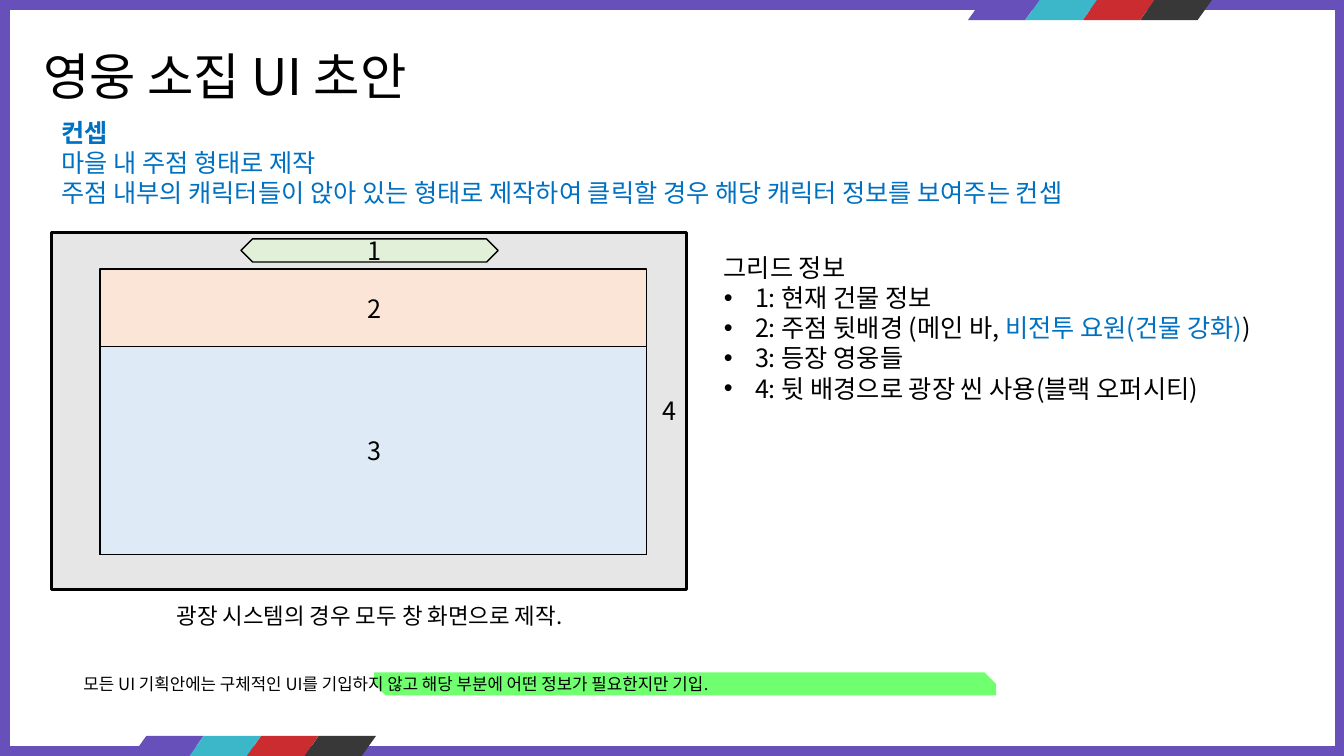
from dataclasses import dataclass

from lxml import etree
from pptx import Presentation
from pptx.dml.color import RGBColor
from pptx.enum.shapes import MSO_SHAPE
from pptx.enum.text import MSO_AUTO_SIZE, PP_ALIGN
from pptx.oxml.ns import qn
from pptx.util import Inches, Pt

RECT = MSO_SHAPE.RECTANGLE
SLANT = MSO_SHAPE.FLOWCHART_DATA
SNIPPED = MSO_SHAPE.SNIP_2_DIAG_RECTANGLE
LEFT, CENTER = PP_ALIGN.LEFT, PP_ALIGN.CENTER
GROW = MSO_AUTO_SIZE.SHAPE_TO_FIT_TEXT


@dataclass(frozen=True)
class Theme:
    font: str = "Noto Sans CJK KR"
    title: int = 36
    body: int = 18
    caption: int = 16
    note: int = 12
    ink: str = "000000"
    accent: str = "0070C0"
    frame: str = "6750BA"
    paper: str = "FFFFFF"
    stripes: tuple = ("6750BA", "3BB7C9", "CB2C30", "383838")
    window: str = "E7E6E6"
    backdrop: str = "FBE5D6"
    heroes: str = "DEEBF7"
    building: str = "E2F0D9"
    marker: str = "33FF33"


theme = Theme()


def add_block(kind, left, top, width, height, fill, line=None, snips=()):
    block = slide.shapes.add_shape(
        kind, Inches(left), Inches(top), Inches(width), Inches(height))
    block.shadow.inherit = False
    block.fill.solid()
    block.fill.fore_color.rgb = RGBColor.from_string(fill)
    if line:
        block.line.color.rgb = RGBColor.from_string(theme.ink)
        block.line.width = Pt(line)
    else:
        block.line.fill.background()
    for i, snip in enumerate(snips):
        block.adjustments[i] = snip
    return block


def add_text(paragraphs, left, top, width, height, size=theme.body,
             color=theme.ink, align=LEFT, bold_first=False, bullets=False):
    """Each paragraph is a string or a list of (text, color) runs.

    With bullets, the first paragraph stays a plain heading.
    """
    frame = slide.shapes.add_textbox(
        Inches(left), Inches(top), Inches(width), Inches(height)).text_frame
    frame.word_wrap = True
    frame.auto_size = GROW
    for i, content in enumerate(paragraphs):
        paragraph = frame.paragraphs[0] if i == 0 else frame.add_paragraph()
        paragraph.alignment = align
        if bullets and i > 0:
            props = paragraph._p.get_or_add_pPr()
            props.set("marL", str(Inches(0.31)))
            props.set("indent", str(-Inches(0.31)))
            etree.SubElement(props, qn("a:buFont")).set("typeface", "Arial")
            etree.SubElement(props, qn("a:buChar")).set("char", "•")
        runs = [(content, color)] if isinstance(content, str) else content
        for words, run_color in runs:
            run = paragraph.add_run()
            run.text = words
            run.font.name = theme.font
            run.font.size = Pt(size)
            run.font.bold = bold_first and i == 0
            run.font.color.rgb = RGBColor.from_string(run_color)
            east_asian = etree.SubElement(run.font._element, qn("a:ea"))
            east_asian.set("typeface", theme.font)


deck = Presentation()
deck.slide_width, deck.slide_height = Inches(13.33), Inches(7.5)
slide = deck.slides.add_slide(deck.slide_layouts[6])

# Purple frame with slanted stripes at the top right and bottom left
slide.background.fill.solid()
slide.background.fill.fore_color.rgb = RGBColor.from_string(theme.frame)
add_block(RECT, 0.1, 0.1, 13.14, 7.3, theme.paper)
for stripes_left, stripes_top in ((9.6, 0), (1.31, 7.3)):
    for i, stripe in enumerate(theme.stripes):
        add_block(SLANT, stripes_left + 0.57 * i, stripes_top, 0.71, 0.2, stripe)

# Title and concept
add_text(["영웅 소집 UI 초안"], 0.33, 0.4, 6.43, 0.71, size=theme.title)
add_text(["컨셉",
          "마을 내 주점 형태로 제작",
          "주점 내부의 캐릭터들이 앉아 있는 형태로 제작하여 클릭할 경우 해당 캐릭터 정보를 보여주는 컨셉"],
         0.51, 1.11, 12.19, 1.01, color=theme.accent, bold_first=True)

# Screen wireframe
add_block(RECT, 0.51, 2.31, 6.3, 3.54, theme.window, line=2.25)
add_block(RECT, 0.99, 2.67, 5.42, 2.83, theme.backdrop, line=1)
add_block(RECT, 0.99, 3.44, 5.42, 2.06, theme.heroes, line=1)
add_block(SNIPPED, 2.39, 2.37, 2.55, 0.23, theme.building, line=1, snips=(0.5, 0.5))
for number, left, top, width in (("1", 3.21, 2.29, 1), ("2", 3.21, 2.86, 1),
                                 ("3", 3.21, 4.27, 1), ("4", 6.47, 3.87, 0.3)):
    add_text([number], left, top, width, 0.4, align=CENTER)
add_text(["광장 시스템의 경우 모두 창 화면으로 제작."], 0.76, 5.92, 5.81, 0.37,
         size=theme.caption, align=CENTER)

# Grid legend
add_text(["그리드 정보",
          "1: 현재 건물 정보",
          [("2: 주점 뒷배경 (메인 바, ", theme.ink),
           ("비전투 요원(건물 강화)", theme.accent),
           (")", theme.ink)],
          "3: 등장 영웅들",
          "4: 뒷 배경으로 광장 씬 사용(블랙 오퍼시티)"],
         7.08, 2.45, 5.81, 1.62, bullets=True)

# Footnote over a translucent marker
marker = add_block(SNIPPED, 3.71, 6.67, 6.17, 0.23, theme.marker, snips=(0, 0.5))
marker_color = marker._element.spPr.find(qn("a:solidFill"))[0]
etree.SubElement(marker_color, qn("a:alpha")).set("val", "70000")
add_text(["모든 UI 기획안에는 구체적인 UI를 기입하지 않고 해당 부분에 어떤 정보가 필요한지만 기입."],
         0.73, 6.63, 12.16, 0.3, size=theme.note)

deck.save("out.pptx")
